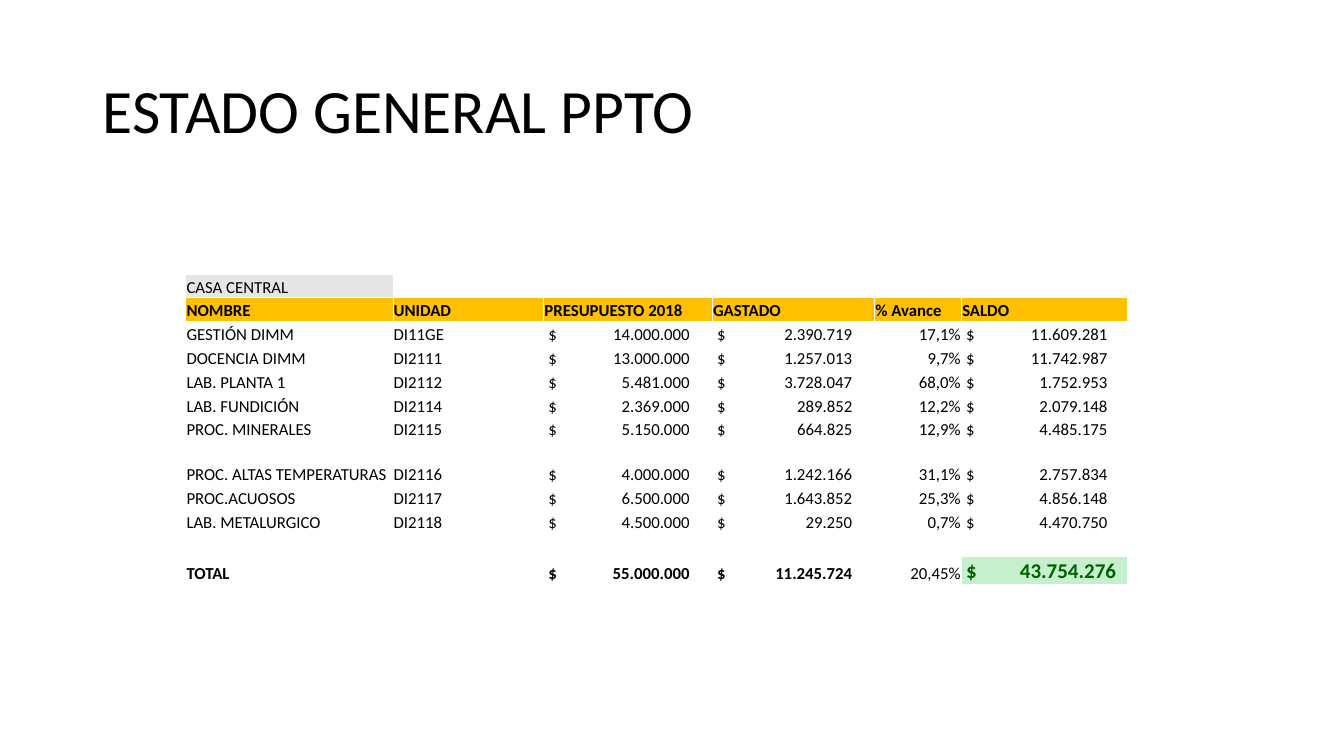
from lxml import etree
from pptx import Presentation
from pptx.dml.color import RGBColor
from pptx.enum.text import MSO_ANCHOR as Anchor, MSO_AUTO_SIZE as AutoSize, PP_ALIGN as Align
from pptx.oxml.ns import qn
from pptx.util import Cm, Pt

# Content
TITLE = "ESTADO GENERAL PPTO"
SECTION = "CASA CENTRAL"
HEADERS = ["NOMBRE", "UNIDAD", "PRESUPUESTO 2018", "GASTADO", "% Avance", "SALDO"]
UNITS = [
    ("GESTIÓN DIMM", "DI11GE", "14.000.000", "2.390.719", "17,1%", "11.609.281"),
    ("DOCENCIA DIMM", "DI2111", "13.000.000", "1.257.013", "9,7%", "11.742.987"),
    ("LAB. PLANTA 1", "DI2112", "5.481.000", "3.728.047", "68,0%", "1.752.953"),
    ("LAB. FUNDICIÓN", "DI2114", "2.369.000", "289.852", "12,2%", "2.079.148"),
    ("PROC. MINERALES", "DI2115", "5.150.000", "664.825", "12,9%", "4.485.175"),
    ("PROC. ALTAS TEMPERATURAS", "DI2116", "4.000.000", "1.242.166", "31,1%", "2.757.834"),
    ("PROC.ACUOSOS", "DI2117", "6.500.000", "1.643.852", "25,3%", "4.856.148"),
    ("LAB. METALURGICO", "DI2118", "4.500.000", "29.250", "0,7%", "4.470.750"),
]
TOTAL = ("TOTAL", "", "55.000.000", "11.245.724", "20,45%", "43.754.276")
ROWS = [(SECTION,) + ("",) * 5, HEADERS, *UNITS, ("",) * 6, TOTAL]

# Style
FONT = "Calibri"
COLORS = {"text": "000000", "section": "E7E6E6", "header": "FFC000",
          "balance": "C6EFCE", "balance_text": "006100", "border": "FFFFFF"}
HEADER_ROW, TALL_ROW, TOTAL_ROW = 1, 7, len(ROWS) - 1
PERCENT_COLUMN, BALANCE_COLUMN = 4, 5
AMOUNT_TABS = {2: 3.56, 3: 3.41, 5: 3.56}  # right edge of the amounts, in cm
BALANCE_TAB = 3.78
COLUMN_WIDTHS = [5.22, 3.8, 4.25, 4.09, 2.19, 4.19]
ROW_HEIGHTS = [0.6] * len(ROWS)
ROW_HEIGHTS[TALL_ROW], ROW_HEIGHTS[TOTAL_ROW] = 1.12, 0.7


def add_run(paragraph, text, size, bold=False, color="text"):
    run = paragraph.add_run()
    run.text = text
    run.font.name, run.font.size, run.font.bold = FONT, Pt(size), bold
    run.font.color.rgb = RGBColor.from_string(COLORS[color])


def add_borders(cell):
    properties = cell._tc.get_or_add_tcPr()
    for side in ("a:lnL", "a:lnR", "a:lnT", "a:lnB"):
        line = etree.SubElement(properties, qn(side), w=str(Pt(0.5)))
        fill = etree.SubElement(line, qn("a:solidFill"))
        etree.SubElement(fill, qn("a:srgbClr"), val=COLORS["border"])


def add_right_tab(paragraph, position):
    tabs = etree.SubElement(paragraph._p.get_or_add_pPr(), qn("a:tabLst"))
    etree.SubElement(tabs, qn("a:tab"), pos=str(Cm(position)), algn="r")


def fill_color(row, column):
    if row == HEADER_ROW:
        return "header"
    if (row, column) == (0, 0):
        return "section"
    return "balance" if (row, column) == (TOTAL_ROW, BALANCE_COLUMN) else None


def format_cell(cell, row, column, text):
    cell.margin_left = cell.margin_right = cell.margin_top = Cm(0.02)
    cell.margin_bottom = 0
    cell.vertical_anchor = Anchor.BOTTOM
    add_borders(cell)
    color = fill_color(row, column)
    if color:
        cell.fill.solid()
        cell.fill.fore_color.rgb = RGBColor.from_string(COLORS[color])
    else:
        cell.fill.background()

    paragraph = cell.text_frame.paragraphs[0]
    if not text:  # keeps empty rows at their own height
        etree.SubElement(paragraph._p, qn("a:endParaRPr"), sz="1200")
        return
    is_balance = color == "balance"
    is_percent = column == PERCENT_COLUMN and row > HEADER_ROW
    bold = row == HEADER_ROW or (row == TOTAL_ROW and not is_percent)
    paragraph.alignment = Align.RIGHT if is_percent else Align.LEFT
    if column in AMOUNT_TABS and row > HEADER_ROW:
        cell.margin_left = Cm(0.12)
        add_right_tab(paragraph, BALANCE_TAB if is_balance else AMOUNT_TABS[column])
        text = "$\t" + text
    add_run(paragraph, text, 15 if is_balance else 12, bold,
            "balance_text" if is_balance else "text")


presentation = Presentation()
presentation.slide_width, presentation.slide_height = Cm(33.87), Cm(19.05)
slide = presentation.slides.add_slide(presentation.slide_layouts[5])

# Title
title = slide.shapes.title
title.left, title.top, title.width, title.height = Cm(2.33), Cm(1.01), Cm(29.21), Cm(3.68)
title.text_frame.auto_size = AutoSize.NONE
title.text_frame.vertical_anchor = Anchor.MIDDLE
heading = title.text_frame.paragraphs[0]
heading.alignment, heading.line_spacing = Align.LEFT, 0.9
add_run(heading, TITLE, 44)

# Budget table
table = slide.shapes.add_table(len(ROWS), len(HEADERS), Cm(4.68), Cm(6.9),
                               Cm(sum(COLUMN_WIDTHS)), Cm(sum(ROW_HEIGHTS))).table
table.first_row = table.horz_banding = False
for column, width in zip(table.columns, COLUMN_WIDTHS):
    column.width = Cm(width)
for row, height in zip(table.rows, ROW_HEIGHTS):
    row.height = Cm(height)
for row, texts in enumerate(ROWS):
    for column, text in enumerate(texts):
        format_cell(table.cell(row, column), row, column, text)

presentation.save("out.pptx")
